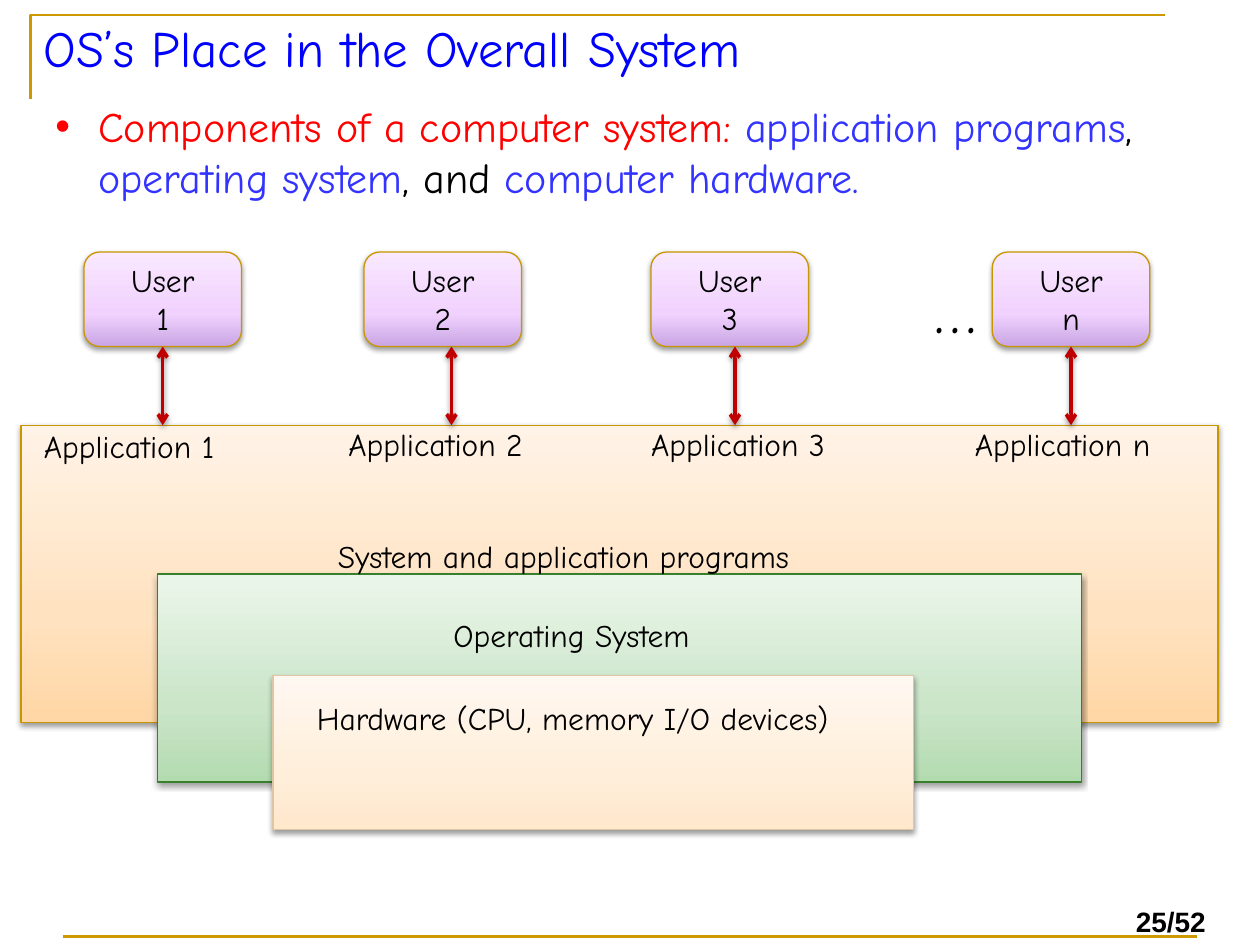
from copy import deepcopy

from lxml.etree import SubElement
from pptx import Presentation
from pptx.dml.color import RGBColor
from pptx.enum.shapes import MSO_CONNECTOR as Connector, MSO_SHAPE as Shape
from pptx.enum.text import MSO_ANCHOR as Anchor, PP_ALIGN as Align
from pptx.oxml.ns import qn
from pptx.util import Pt

FONT = "Comic Neue"
BLACK = RGBColor(0, 0, 0)
RED = RGBColor(0xFF, 0, 0)
DARK_RED = RGBColor(0xC0, 0, 0)
BLUE = RGBColor(0, 0, 0xFF)
TERM_BLUE = RGBColor(0x33, 0x33, 0xFF)
RULE_GOLD = RGBColor(0xCC, 0x99, 0)
GOLD = RGBColor(0xC8, 0x96, 0)
GREEN = RGBColor(0x38, 0x80, 0x2C)
TAN = RGBColor(0xDE, 0xC6, 0xA5)
ORANGE_STOPS = [RGBColor(0xFF, 0xD6, 0xA5), RGBColor(0xFF, 0xE2, 0xBF), RGBColor(0xFF, 0xF3, 0xE7)]
GREEN_STOPS = [RGBColor(0xB3, 0xDB, 0xB0), RGBColor(0xCA, 0xE5, 0xC8), RGBColor(0xEB, 0xF6, 0xEA)]
CREAM_STOPS = [RGBColor(0xFF, 0xE8, 0xCC), RGBColor(0xFF, 0xEE, 0xDA), RGBColor(0xFF, 0xF8, 0xF1)]
PURPLE_STOPS = [RGBColor(0xC9, 0xA6, 0xE4), RGBColor(0xF1, 0xD2, 0xFE), RGBColor(0xF9, 0xE8, 0xFE)]
STOP_POSITIONS = [0, 0.35, 1]


def add_run(paragraph, text, size, color=BLACK, font=FONT, bold=False):
    run = paragraph.add_run()
    run.text = text
    run.font.name = font
    run.font.size = Pt(size)
    run.font.bold = bold
    run.font.color.rgb = color


def add_text(slide, box, text, size=18, color=BLACK):
    shape = slide.shapes.add_textbox(*map(Pt, box))
    shape.text_frame.word_wrap = True
    if text:
        add_run(shape.text_frame.paragraphs[0], text, size, color)
    return shape.text_frame


def add_shadow(effects):
    shadow = SubElement(effects, qn("a:outerShdw"), blurRad="40000", dist="20000",
                        dir="5400000", rotWithShape="0")
    color = SubElement(shadow, qn("a:srgbClr"), val="000000")
    SubElement(color, qn("a:alpha"), val="38000")


def add_block(slide, kind, box, stops, line_color):
    shape = slide.shapes.add_shape(kind, *map(Pt, box))
    shape.fill.gradient()
    shape.fill.gradient_angle = 90
    stop_list = shape._element.spPr.find(".//" + qn("a:gsLst"))
    stop_list.insert(1, deepcopy(stop_list[0]))
    for stop, color, position in zip(shape.fill.gradient_stops, stops, STOP_POSITIONS):
        stop.color.rgb = color
        stop.position = position
    shape.line.color.rgb = line_color
    shape.line.width = Pt(0.75)
    shape.shadow.inherit = False
    add_shadow(shape._element.spPr.find(qn("a:effectLst")))
    return shape


def add_line(slide, start, end, color, width):
    line = slide.shapes.add_connector(Connector.STRAIGHT, *map(Pt, start + end))
    line.line.color.rgb = color
    line.line.width = Pt(width)
    return line, SubElement(line._element.spPr, qn("a:effectLst"))


def add_frame(slide, box):
    left, top, width, height = box
    builder = slide.shapes.build_freeform(Pt(left), Pt(top + 48), scale=1.0)
    builder.add_line_segments([(Pt(left), Pt(top)), (Pt(left + 648), Pt(top))], close=False)
    corner = builder.convert_to_shape()
    corner.fill.background()
    corner.line.color.rgb = RULE_GOLD
    corner.line.width = Pt(1.5)
    corner.shadow.inherit = False
    bottom, right = top + height, left + width
    add_line(slide, (right - 648, bottom), (right, bottom), RULE_GOLD, 1.5)
    number = add_text(slide, (right - 42, bottom - 21.5, 57, 26.5), "")
    number.word_wrap = False
    add_run(number.paragraphs[0], "25/52", 16, font="Arial", bold=True)


def add_heading(slide, box):
    left, top, width, height = box
    add_text(slide, (left, top, width, 48), "OS’s Place in the Overall System", 29, BLUE)
    body = add_text(slide, (left + 6.5, top + 48, width + 29.5, height - 48), "")
    paragraph = body.paragraphs[0]
    properties = paragraph._p.get_or_add_pPr()
    properties.set("marL", str(Pt(24.5)))
    properties.set("indent", str(-Pt(24.5)))
    SubElement(properties, qn("a:buFont"), typeface="Arial")
    SubElement(properties, qn("a:buChar"), char="•")
    for text, color in [("Components of a computer system: ", RED),
                        ("application programs", TERM_BLUE), (", ", BLACK),
                        ("operating system", TERM_BLUE), (", and ", BLACK),
                        ("computer hardware.", TERM_BLUE)]:
        add_run(paragraph, text, 24, color)


def add_layers(slide, box):
    left, top, width, height = box
    layers = [
        ((left, top, width, 170), ORANGE_STOPS, GOLD),
        ((left + 78, top + 85, 528, 119), GREEN_STOPS, GREEN),
        ((left + 144, top + 143, 366, height - 143), CREAM_STOPS, TAN),
    ]
    for layer_box, stops, color in layers:
        add_block(slide, Shape.RECTANGLE, layer_box, stops, color)
    for x, y, label_width, label in [
            (174, 60.5, 342, "System and application programs"),
            (240, 105.5, 174, "Operating System"),
            (162, 153, 348, "Hardware (CPU, memory I/O devices)")]:
        add_text(slide, (left + x, top + y, label_width, 29), label)


def add_users(slide, box):
    left, top, width, height = box
    user_width, user_height = 90, 54
    columns = [("1", 0, 45, -30, 1), ("2", 160, 210, 144, 0),
               ("3", 324, 372, 317, 0), ("n", width - user_width, width - 45, 502, 0)]
    for name, user_x, arrow_x, label_x, label_drop in columns:
        user = add_block(slide, Shape.ROUNDED_RECTANGLE,
                         (left + user_x, top, user_width, user_height), PURPLE_STOPS, GOLD)
        frame = user.text_frame
        frame.vertical_anchor = Anchor.MIDDLE
        for paragraph, text in [(frame.paragraphs[0], "User"), (frame.add_paragraph(), name)]:
            paragraph.alignment = Align.CENTER
            add_run(paragraph, text, 18)
        arrow, effects = add_line(slide, (left + arrow_x, top + user_height),
                                  (left + arrow_x, top + height), DARK_RED, 2)
        add_shadow(effects)
        outline = arrow.line._get_or_add_ln()
        for end in ("a:headEnd", "a:tailEnd"):
            SubElement(outline, qn(end), type="arrow")
        if arrow_x == user_x + user_width / 2:
            arrow.begin_connect(user, 2)
        add_text(slide, (left + label_x, top + height - 3.5 + label_drop, 128, 29),
                 f"Application {name}")
    ellipsis = add_text(slide, (left + 462, top + 10, 72, 44.5), "…", 36)
    ellipsis.vertical_anchor = Anchor.MIDDLE
    ellipsis.paragraphs[0].alignment = Align.CENTER


def main():
    presentation = Presentation()
    presentation.slide_width, presentation.slide_height = Pt(720), Pt(540)
    slide = presentation.slides.add_slide(presentation.slide_layouts[6])
    add_frame(slide, (17.5, 8.5, 666.5, 526.5))
    add_heading(slide, (18, 6, 648, 120))
    add_layers(slide, (12, 243, 684, 231))
    add_users(slide, (48, 144, 609, 99))
    presentation.save("out.pptx")


if __name__ == "__main__":
    main()
